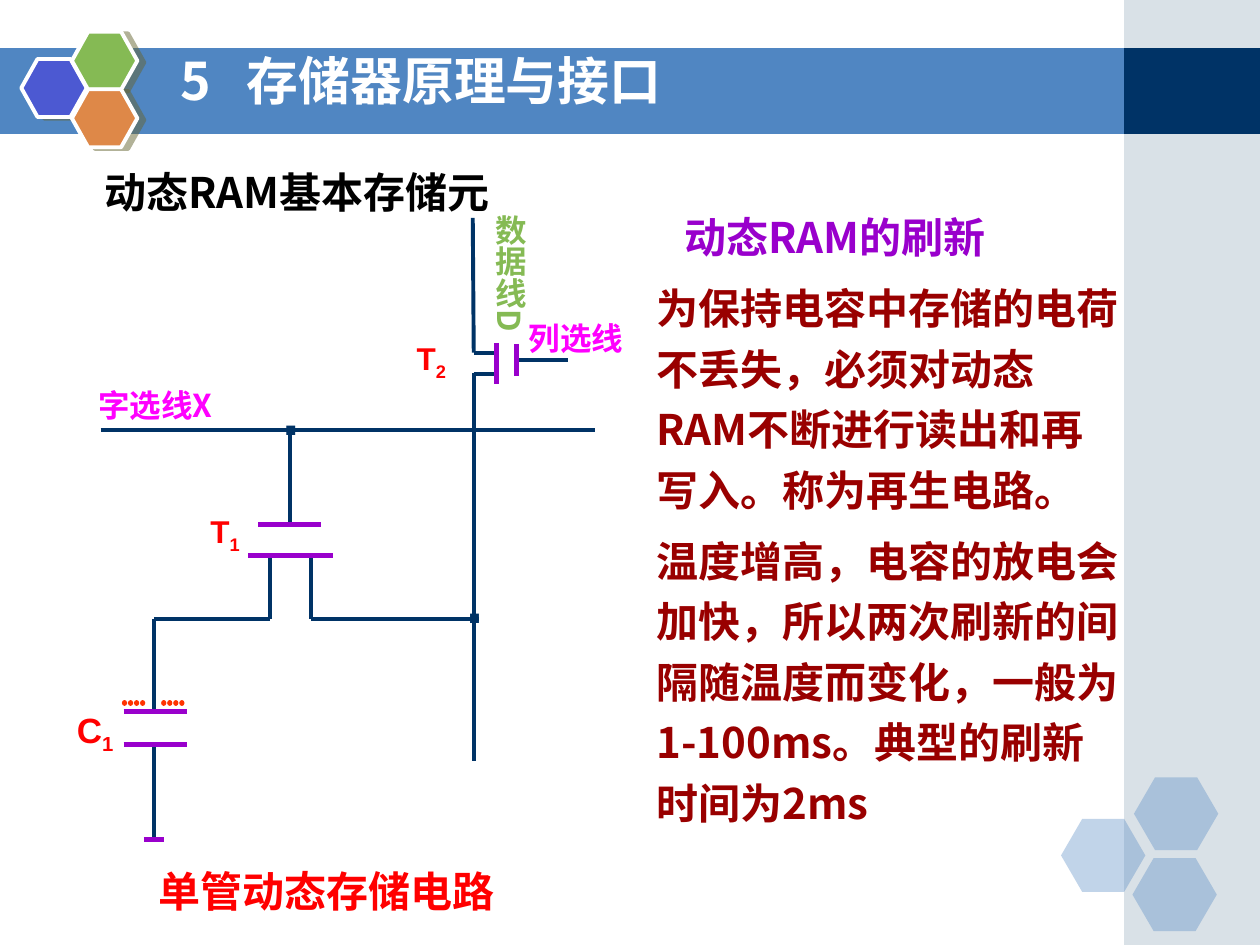
from dataclasses import dataclass

from lxml import etree
from pptx import Presentation
from pptx.dml.color import RGBColor
from pptx.enum.shapes import MSO_CONNECTOR, MSO_SHAPE
from pptx.enum.text import MSO_ANCHOR, MSO_AUTO_SIZE, PP_ALIGN
from pptx.oxml.ns import qn
from pptx.util import Cm, Pt

RECTANGLE, HEXAGON = MSO_SHAPE.RECTANGLE, MSO_SHAPE.HEXAGON
STRAIGHT = MSO_CONNECTOR.STRAIGHT
TOP, MIDDLE = MSO_ANCHOR.TOP, MSO_ANCHOR.MIDDLE
LEFT, JUSTIFY = PP_ALIGN.LEFT, PP_ALIGN.JUSTIFY
NO_FIT = MSO_AUTO_SIZE.NONE


@dataclass(frozen=True)
class Theme:
    latin: str = "Arial"
    chinese: str = "Noto Sans CJK SC"
    white: str = "FFFFFF"
    black: str = "000000"
    band: str = "5086C2"
    navy: str = "003366"
    panel: str = "A0B5C4"
    blue: str = "4C59D2"
    green: str = "85BA54"
    orange: str = "DE8848"
    shade: str = "666633"
    purple: str = "9900CC"
    red: str = "FF0000"
    charge: str = "FF3300"
    magenta: str = "FF00FF"
    maroon: str = "990000"
    title_size: float = 29.6
    text_size: float = 24
    capacitor_size: float = 20
    label_size: float = 18
    junction_size: float = 36
    wire: float = 2.25
    plate: float = 3


theme = Theme()


def add_span(para, text, size, color, font, subscript=False):
    span = para.add_run()
    span.text = text
    span.font.size = Pt(size)
    span.font.bold = True
    span.font.color.rgb = RGBColor.from_string(color)
    span.font.name = font
    properties = span.font._element
    etree.SubElement(properties, qn("a:ea"), typeface=theme.chinese)
    if subscript:
        properties.set("baseline", "-25000")


def add_block(page, kind, frame, color, opacity=100):
    block = page.shapes.add_shape(kind, *map(Cm, frame))
    block.shadow.inherit = False
    block.fill.solid()
    block.fill.fore_color.rgb = RGBColor.from_string(color)
    block.line.fill.background()
    if opacity < 100:
        tint = block.element.spPr.find(qn("a:solidFill"))[0]
        etree.SubElement(tint, qn("a:alpha"), val=str(opacity * 1000))
    return block


deck = Presentation()
deck.slide_width, deck.slide_height = Cm(25.4), Cm(19.05)
page = deck.slides.add_slide(deck.slide_layouts[1])

add_block(page, RECTANGLE, (0, 0.97, 22.66, 1.73), theme.band)
add_block(page, RECTANGLE, (22.66, 0, 2.74, 19.05), theme.panel, 40)
add_block(page, RECTANGLE, (22.66, 0.97, 2.74, 1.73), theme.navy)

for left, top in ((21.39, 16.51), (22.86, 15.67), (22.83, 17.3)):
    hexagon = add_block(page, HEXAGON, (left, top, 1.7, 1.47), theme.band, 35)
    hexagon.adjustments[0] = 0.29

for left, top, color in ((0.43, 1.19, theme.blue), (1.45, 0.64, theme.green), (1.45, 1.8, theme.orange)):
    hexagon = add_block(page, HEXAGON, (left, top, 1.32, 1.17), color)
    hexagon.adjustments[0] = 0.28
    hexagon.line.color.rgb = RGBColor.from_string(theme.white)
    hexagon.line.width = Pt(theme.wire)
    effects = hexagon.element.spPr.find(qn("a:effectLst"))
    shadow = etree.SubElement(effects, qn("a:outerShdw"), dist=str(Pt(4.1)), dir="840000", algn="ctr", rotWithShape="0")
    shade = etree.SubElement(shadow, qn("a:srgbClr"), val=theme.shade)
    etree.SubElement(shade, qn("a:alpha"), val="50000")

title = page.shapes.title
body = page.placeholders[1]
for box, frame, anchor in (
    (title, (3.38, 0.91, 18.62, 1.57), MIDDLE),
    (body, (11.71, 3.94, 11.2, 12.88), TOP),
):
    box.left, box.top, box.width, box.height = map(Cm, frame)
    box.text_frame.auto_size = NO_FIT
    box.text_frame.vertical_anchor = anchor
    box.element.getparent().append(box.element)

para = title.text_frame.paragraphs[0]
para.alignment = LEFT
para.line_spacing = 0.9
stops = etree.SubElement(para._p.get_or_add_pPr(), qn("a:tabLst"))
etree.SubElement(stops, qn("a:tab"), pos=str(Cm(1.34)), algn="l")
add_span(para, "5\t存储器原理与接口", theme.title_size, theme.white, theme.chinese)

paragraphs = (
    ("动态RAM的刷新", theme.purple, 0.56, JUSTIFY),
    ("为保持电容中存储的电荷不丢失，必须对动态RAM不断进行读出和再写入。称为再生电路。", theme.maroon, 0, LEFT),
    ("温度增高，电容的放电会加快，所以两次刷新的间隔随温度而变化，一般为1-100ms。典型的刷新时间为2ms", theme.maroon, 0, LEFT),
)
for index, (text, color, indent, alignment) in enumerate(paragraphs):
    para = body.text_frame.add_paragraph() if index else body.text_frame.paragraphs[0]
    para.level = 1
    para.alignment = alignment
    para.line_spacing = 1.2
    para.space_before = Pt(6 if index else 0)
    properties = para._p.get_or_add_pPr()
    properties.set("marL", str(Cm(1.27)))
    properties.set("indent", str(Cm(indent)))
    etree.SubElement(properties, qn("a:buNone"))
    add_span(para, text, theme.text_size, color, theme.chinese)

wires = (
    (9.55, 7.54, 9.98, 7.54),
    (9.55, 7.11, 9.53, 4.39),
    (9.55, 7.11, 9.98, 7.11),
    (10.41, 7.26, 11.46, 7.26),
    (2.03, 8.66, 11.99, 8.66),
    (5.84, 8.66, 5.84, 10.57),
    (5.44, 11.2, 5.44, 12.47),
    (6.27, 11.2, 6.27, 12.47),
    (3.1, 12.47, 5.44, 12.47),
    (6.27, 12.47, 9.65, 12.47),
    (9.55, 7.52, 9.55, 15.34),
    (3.1, 12.47, 3.1, 14.38),
    (3.1, 15.01, 3.1, 16.92),
)
plates = (
    (10.01, 6.91, 10.01, 7.75),
    (10.41, 6.93, 10.41, 7.57),
    (5.21, 10.57, 6.48, 10.57),
    (5, 11.2, 6.71, 11.2),
    (2.49, 14.35, 3.76, 14.35),
    (2.49, 15.01, 3.76, 15.01),
    (2.9, 16.92, 3.3, 16.92),
)
charges = ((2.51, 14.17, 2.95, 14.17), (3.3, 14.17, 3.71, 14.17))
for group, color, width in (
    (wires, theme.navy, theme.wire),
    (plates, theme.purple, theme.plate),
    (charges, theme.charge, theme.plate),
):
    for ends in group:
        line = page.shapes.add_connector(STRAIGHT, *map(Cm, ends))
        line.line.color.rgb = RGBColor.from_string(color)
        line.line.width = Pt(width)
        if group is charges:
            stroke = line.line._ln
            stroke.set("cap", "rnd")
            dots = etree.SubElement(stroke, qn("a:custDash"))
            etree.SubElement(dots, qn("a:ds"), d="100000", sp="15000")
        etree.SubElement(line.element.spPr, qn("a:effectLst"))

labels = (
    ((1.85, 3.23, 11.68, 1.3), "动态RAM基本存储元", "", theme.text_size, theme.black, theme.chinese, LEFT),
    ((1.3, 14.15, 1.57, 1.22), "C", "1", theme.capacitor_size, theme.red, theme.latin, JUSTIFY),
    ((8.15, 6.71, 1.27, 1.12), "T", "2", theme.label_size, theme.red, theme.latin, JUSTIFY),
    ((3.99, 10.19, 1.57, 1.12), "T", "1", theme.label_size, theme.red, theme.latin, JUSTIFY),
    ((10.41, 6.3, 2.84, 1.02), "列选线", "", theme.label_size, theme.magenta, theme.latin, JUSTIFY),
    ((1.73, 7.65, 3.61, 1.02), "字选线X", "", theme.label_size, theme.magenta, theme.chinese, JUSTIFY),
    ((2.95, 17.32, 8.89, 1.27), "单管动态存储电路", "", theme.text_size, theme.red, theme.latin, LEFT),
    ((9.14, 11.18, 1.9, 1.78), ".", "", theme.junction_size, theme.navy, theme.latin, JUSTIFY),
    ((5.44, 7.39, 1.9, 1.78), ".", "", theme.junction_size, theme.navy, theme.latin, JUSTIFY),
    ((9.53, 4.08, 1.27, 2.97), "数据线D", "", theme.label_size, theme.green, theme.chinese, JUSTIFY),
)
for frame, text, subscript, size, color, font, alignment in labels:
    box = page.shapes.add_textbox(*map(Cm, frame))
    box.text_frame.word_wrap = True
    para = box.text_frame.paragraphs[0]
    para.alignment = alignment
    add_span(para, text, size, color, font)
    if subscript:
        add_span(para, subscript, size, color, font, True)

data_line = box.text_frame
data_line._txBody.bodyPr.set("vert", "eaVert")
data_line.margin_left = data_line.margin_right = Cm(0.13)
data_line.margin_top = data_line.margin_bottom = Cm(0.25)

deck.save("out.pptx")
